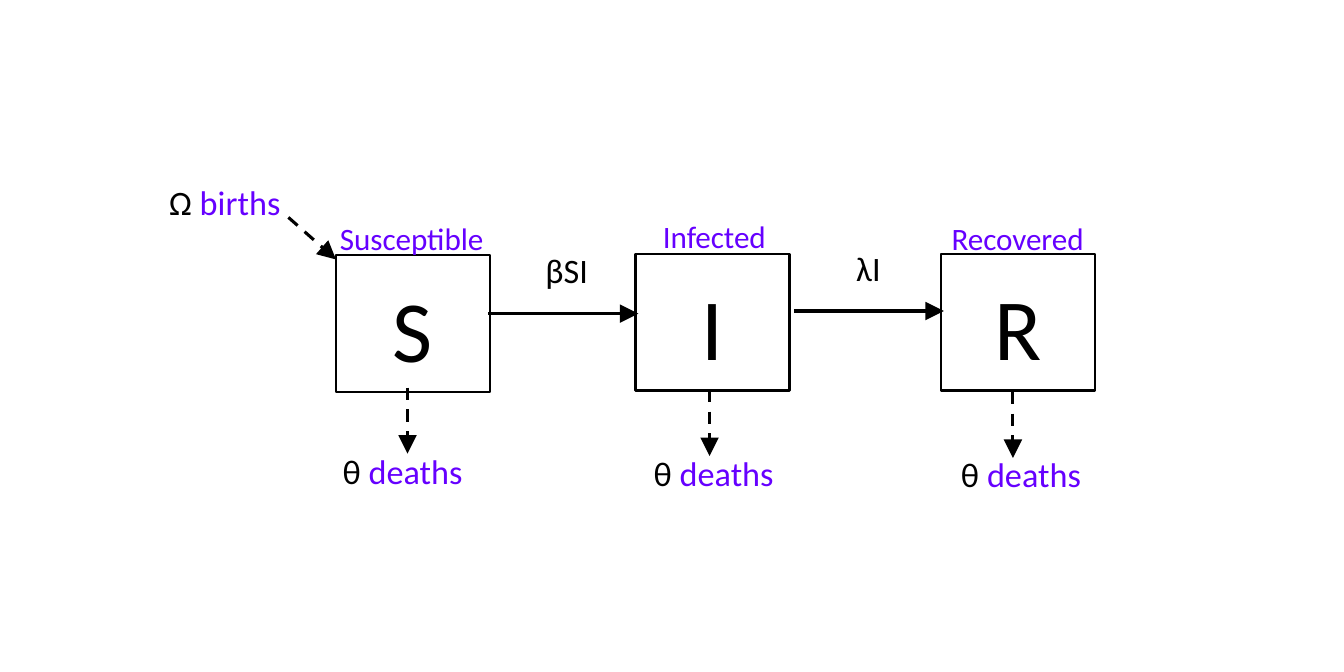
from lxml.etree import SubElement
from pptx import Presentation
from pptx.dml.color import RGBColor
from pptx.enum.dml import MSO_LINE
from pptx.enum.shapes import MSO_CONNECTOR, MSO_SHAPE
from pptx.enum.text import MSO_ANCHOR, PP_ALIGN
from pptx.oxml.ns import qn
from pptx.util import Pt

BLACK = "000000"
WHITE = "FFFFFF"
VIOLET = "6600FF"
BOX_WIDTH, BOX_HEIGHT = 49.5, 44


def color(value):
    return RGBColor.from_string(value)


def write(frame, pieces, size, align):
    frame.word_wrap = True
    paragraph = frame.paragraphs[0]
    paragraph.alignment = align
    paragraph.line_spacing = 1.07
    paragraph.space_after = Pt(8)
    for words, tint in pieces:
        run = paragraph.add_run()
        run.text = words
        run.font.name = "Calibri"
        run.font.size = Pt(size)
        run.font.color.rgb = color(tint)


def add_compartment(slide, letter, left, top):
    box = slide.shapes.add_shape(
        MSO_SHAPE.RECTANGLE, Pt(left), Pt(top), Pt(BOX_WIDTH), Pt(BOX_HEIGHT))
    box.shadow.inherit = False
    box.fill.solid()
    box.fill.fore_color.rgb = color(WHITE)
    box.line.color.rgb = color(BLACK)
    box.line.width = Pt(0.75)
    box.text_frame.vertical_anchor = MSO_ANCHOR.MIDDLE
    write(box.text_frame, [(letter, BLACK)], 28, PP_ALIGN.CENTER)


def add_label(slide, pieces, left, top, width, height,
              size=11, align=PP_ALIGN.CENTER):
    label = slide.shapes.add_textbox(Pt(left), Pt(top), Pt(width), Pt(height))
    write(label.text_frame, pieces, size, align)


def add_arrow(slide, start, end, dashed=False):
    arrow = slide.shapes.add_connector(
        MSO_CONNECTOR.STRAIGHT, *map(Pt, start + end))
    arrow.line.color.rgb = color(BLACK)
    arrow.line.width = Pt(1)
    if dashed:
        arrow.line.dash_style = MSO_LINE.DASH
    SubElement(arrow.line._get_or_add_ln(), qn("a:tailEnd"), type="triangle")
    SubElement(arrow._element.spPr, qn("a:effectLst"))


def main():
    deck = Presentation()
    deck.slide_width, deck.slide_height = Pt(432), Pt(216)
    slide = deck.slides.add_slide(deck.slide_layouts[6])

    compartments = [
        ("S", 108, 82, "Susceptible", 102.2, 66.2, 131, 124.6, 99.4, 140.4),
        ("I", 204.3, 81.6, "Infected", 206, 65.5, 228.1, 125.4, 199.4, 140.8),
        ("R", 302.5, 81.6, "Recovered", 298.8, 66.2, 325.6, 126, 298.2, 141.2),
    ]
    for (letter, left, top, name, name_left, name_top,
         exit_x, exit_y, deaths_left, deaths_top) in compartments:
        add_compartment(slide, letter, left, top)
        add_label(slide, [(name, VIOLET)], name_left, name_top, 62, 18,
                  size=10, align=PP_ALIGN.LEFT)
        add_label(slide, [("θ ", BLACK), ("deaths", VIOLET)],
                  deaths_left, deaths_top, 60, 20)
        add_arrow(slide, (exit_x, exit_y), (exit_x, exit_y + 21.2), dashed=True)

    transitions = [("βSI", 157, 100.8, 167.2, 75.7),
                   ("λI", 255.2, 100, 264.2, 75)]
    for rate, start_x, y, rate_left, rate_top in transitions:
        add_arrow(slide, (start_x, y), (start_x + 48.2, y))
        add_label(slide, [(rate, BLACK)], rate_left, rate_top, 30, 24)

    add_label(slide, [("\u2126 ", BLACK), ("births", VIOLET)], 40.3, 54, 64, 22)
    add_arrow(slide, (92.7, 69.9), (108, 83.4), dashed=True)

    deck.save("out.pptx")


main()
